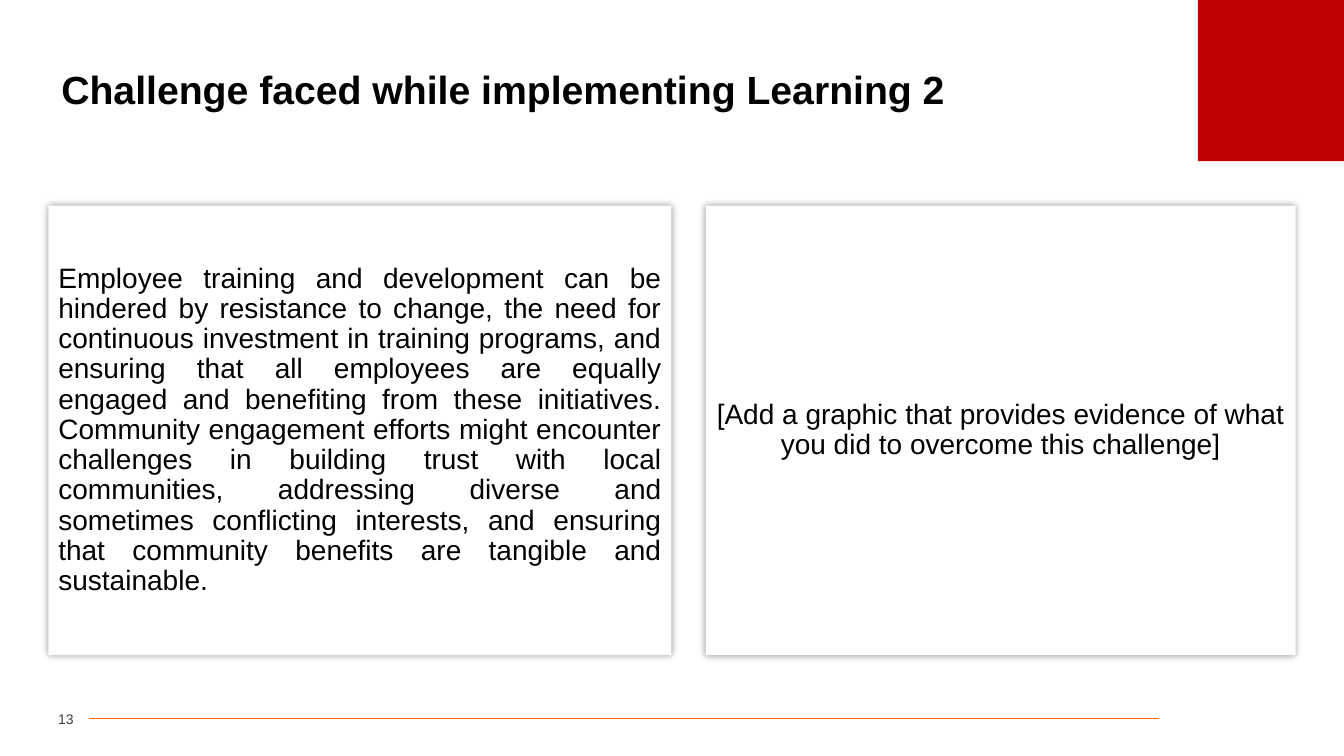
from lxml.etree import SubElement
from pptx import Presentation
from pptx.dml.color import RGBColor
from pptx.enum.shapes import MSO_CONNECTOR, MSO_SHAPE
from pptx.enum.text import MSO_ANCHOR, PP_ALIGN
from pptx.oxml.ns import qn
from pptx.util import Inches, Pt


def color(hex_code):
    return RGBColor.from_string(hex_code)


class SlideBuilder:
    font = "Arial"
    ink = "000000"
    line_spacing = 0.9

    def __init__(self, slide):
        self.slide = slide

    def set_text(self, frame, text, size, align, ink=ink, bold=False, side=0.1):
        frame.word_wrap = True
        frame.vertical_anchor = MSO_ANCHOR.MIDDLE
        frame.margin_left = frame.margin_right = Inches(side)
        frame.margin_top = frame.margin_bottom = Inches(0.05)
        paragraph = frame.paragraphs[0]
        paragraph.alignment = align
        run = paragraph.add_run()
        run.text = text
        run.font.name = self.font
        run.font.size = Pt(size)
        run.font.bold = bold
        run.font.color.rgb = color(ink)
        return paragraph

    def label(self, box, text, size, align, **style):
        frame = self.slide.shapes.add_textbox(*map(Inches, box)).text_frame
        return self.set_text(frame, text, size, align, **style)

    def block(self, box, fill):
        block = self.slide.shapes.add_shape(MSO_SHAPE.RECTANGLE, *map(Inches, box))
        block.shadow.inherit = False
        block.fill.solid()
        block.fill.fore_color.rgb = color(fill)
        block.line.fill.background()
        return block

    def panel(self, box, text, align):
        panel = self.block(box, "FFFFFF")
        # Soft glow-like shadow, even on all sides
        effects = panel._element.spPr.find(qn("a:effectLst"))
        shadow = SubElement(effects, qn("a:outerShdw"), blurRad=str(Pt(5)),
                            dist="0", algn="ctr", rotWithShape="0")
        shade = SubElement(shadow, qn("a:srgbClr"), val=self.ink)
        SubElement(shade, qn("a:alpha"), val="40000")
        paragraph = self.set_text(panel.text_frame, text, 20, align)
        paragraph.line_spacing = self.line_spacing
        paragraph.space_before = Pt(10)

    def rule(self, left, right, y, stroke, width):
        rule = self.slide.shapes.add_connector(
            MSO_CONNECTOR.STRAIGHT, Inches(left), Inches(y), Inches(right), Inches(y))
        rule.line.color.rgb = color(stroke)
        rule.line.width = Pt(width)
        SubElement(rule._element.spPr, qn("a:effectLst"))


def main():
    deck = Presentation()
    deck.slide_width, deck.slide_height = Inches(13.33), Inches(7.5)
    builder = SlideBuilder(deck.slides.add_slide(deck.slide_layouts[6]))

    # Footer rule and corner block
    builder.rule(0.88, 11.5, 7.13, "FF6600", 0.5)
    builder.block((11.88, 0, 1.45, 1.6), "C00000")

    # Title and page number
    title = builder.label((0.51, 0.52, 12.31, 0.78),
                          "Challenge faced while implementing Learning 2",
                          28, PP_ALIGN.LEFT, bold=True)
    title.line_spacing = builder.line_spacing
    builder.label((0.33, 6.99, 0.4, 0.29), "13", 10, PP_ALIGN.RIGHT,
                  ink="404040", side=0)

    # Challenge and evidence panels
    challenge = (
        "Employee training and development can be hindered by resistance to change, "
        "the need for continuous investment in training programs, and ensuring that "
        "all employees are equally engaged and benefiting from these initiatives. "
        "Community engagement efforts might encounter challenges in building trust "
        "with local communities, addressing diverse and sometimes conflicting "
        "interests, and ensuring that community benefits are tangible and sustainable."
    )
    evidence = ("[Add a graphic that provides evidence of what you did to "
                "overcome this challenge]")
    panel_top, panel_height = 2.04, 4.46
    for left, width, text, align in (
        (0.48, 6.18, challenge, PP_ALIGN.JUSTIFY),
        (7, 5.85, evidence, PP_ALIGN.CENTER),
    ):
        builder.panel((left, panel_top, width, panel_height), text, align)

    deck.save("out.pptx")


if __name__ == "__main__":
    main()
